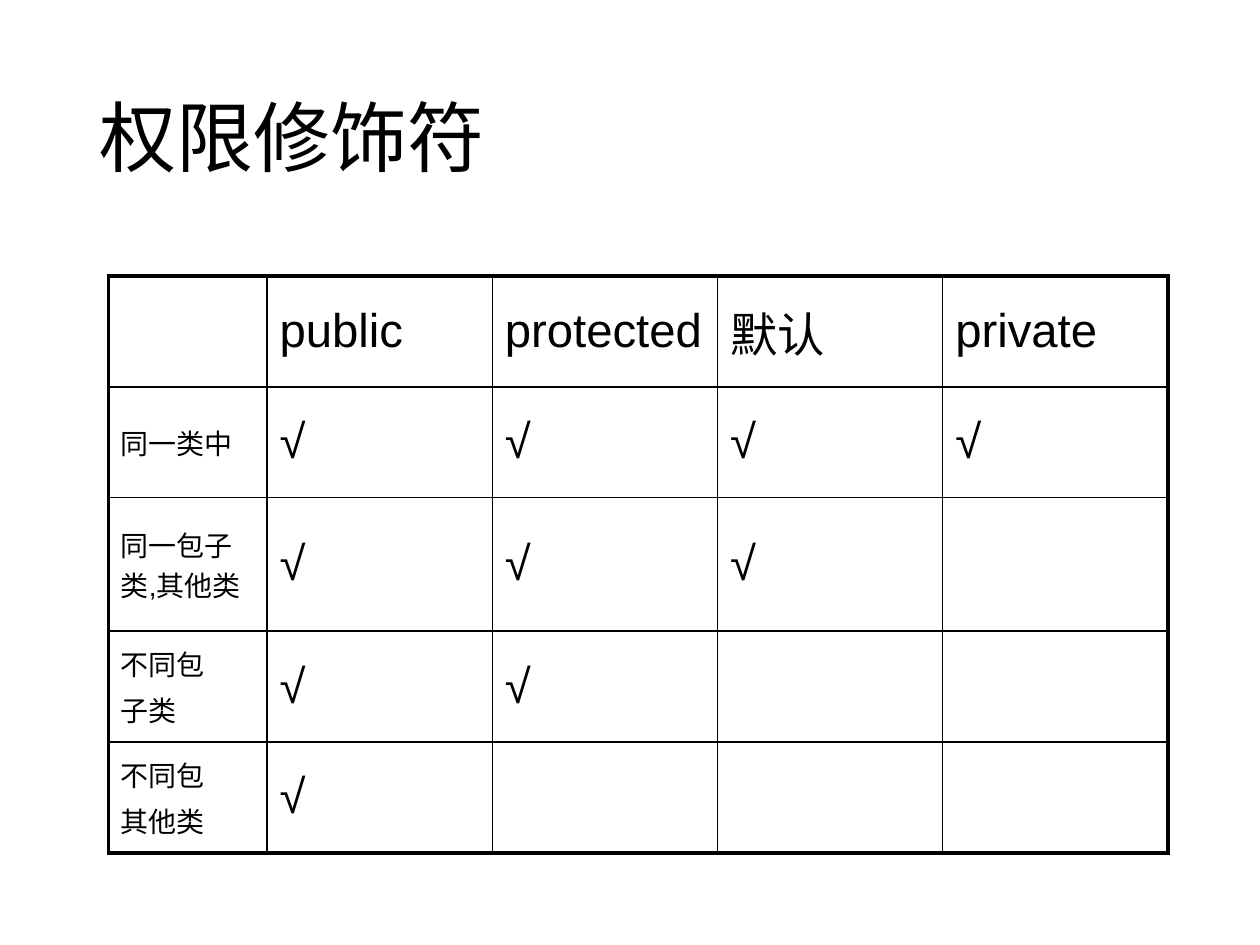
from dataclasses import dataclass

import lxml.etree
import pptx
import pptx.dml.color
import pptx.enum.text
import pptx.oxml.ns
import pptx.slide
import pptx.table
import pptx.text.text
import pptx.util
from pptx.util import Inches


@dataclass(frozen=True)
class Theme:
    ink: str = "000000"
    title_font: str = "Calibri"
    table_font: str = "Arial"
    title_size: float = 44
    cell_size: float = 27
    label_size: float = 16
    space_ratio: float = 0.2
    outer_line: float = 2.25
    inner_line: float = 1


ROW_HEIGHT = Inches(0.88)
TALL_ROW_HEIGHT = Inches(1.06)


@dataclass(frozen=True)
class Access:
    """A place in the code, and how many modifiers, from the left, reach it."""
    label: str
    allowed: int
    height: pptx.util.Length = ROW_HEIGHT


THEME = Theme()
MODIFIERS = ["public", "protected", "默认", "private"]
ACCESS_ROWS = [
    Access("同一类中", 4),
    Access("同一包子类,其他类", 3, TALL_ROW_HEIGHT),
    Access("不同包\n子类", 2),
    Access("不同包\n其他类", 1),
]
TABLE_WIDTH = Inches(8.41)
LABEL_WIDTH = Inches(1.26)
MODIFIER_WIDTH = (TABLE_WIDTH - LABEL_WIDTH) // len(MODIFIERS)


def format_runs(p: pptx.text.text._Paragraph, font: str, size: float) -> None:
    for r in p.runs:
        r.font.name = font
        r.font.size = pptx.util.Pt(size)
        r.font.color.rgb = pptx.dml.color.RGBColor.from_string(THEME.ink)


def add_border(cell: pptx.table._Cell, side: str, width: float) -> None:
    tc_pr = cell._tc.get_or_add_tcPr()
    qn = pptx.oxml.ns.qn
    line = lxml.etree.SubElement(tc_pr, qn(f"a:ln{side}"), w=str(pptx.util.Pt(width)))
    fill = lxml.etree.SubElement(line, qn("a:solidFill"))
    lxml.etree.SubElement(fill, qn("a:srgbClr"), val=THEME.ink)


def fill_cell(cell: pptx.table._Cell, text: str, size: float) -> None:
    cell.vertical_anchor = pptx.enum.text.MSO_ANCHOR.MIDDLE
    tf = cell.text_frame
    tf.text = text
    for p in tf.paragraphs:
        p.space_before = pptx.util.Pt(size * THEME.space_ratio)
        format_runs(p, THEME.table_font, size)


def add_title(s: pptx.slide.Slide, text: str) -> None:
    sp = s.shapes.add_textbox(Inches(0.69), Inches(0.4), Inches(8.62), Inches(1.45))
    tf = sp.text_frame
    tf.word_wrap = True
    tf.vertical_anchor = pptx.enum.text.MSO_ANCHOR.MIDDLE
    tf.text = text
    p = tf.paragraphs[0]
    p.line_spacing = 0.9
    format_runs(p, THEME.title_font, THEME.title_size)


def add_access_table(s: pptx.slide.Slide) -> None:
    grid = [["", *MODIFIERS]]
    for access in ACCESS_ROWS:
        blanks = len(MODIFIERS) - access.allowed
        grid.append([access.label] + ["√"] * access.allowed + [""] * blanks)

    widths = [LABEL_WIDTH] + [MODIFIER_WIDTH] * len(MODIFIERS)
    heights = [ROW_HEIGHT] + [access.height for access in ACCESS_ROWS]
    table = s.shapes.add_table(
        len(heights), len(widths), Inches(0.86), Inches(2.19), sum(widths), sum(heights),
    ).table
    table.first_row = False
    table.horz_banding = False
    for column, width in zip(table.columns, widths):
        column.width = width
    for row, height in zip(table.rows, heights):
        row.height = height

    last_row, last_col = len(heights) - 1, len(widths) - 1
    for i, texts in enumerate(grid):
        for j, text in enumerate(texts):
            cell = table.cell(i, j)
            fill_cell(cell, text, THEME.cell_size if j else THEME.label_size)
            outer_sides = {"L": j == 0, "R": j == last_col, "T": i == 0, "B": i == last_row}
            for side, is_outer in outer_sides.items():
                add_border(cell, side, THEME.outer_line if is_outer else THEME.inner_line)
            cell.fill.background()


def main() -> None:
    prs = pptx.Presentation()
    prs.slide_width, prs.slide_height = Inches(10), Inches(7.5)
    s = prs.slides.add_slide(prs.slide_layouts[6])
    add_title(s, "权限修饰符")
    add_access_table(s)
    prs.save("out.pptx")


if __name__ == "__main__":
    main()
